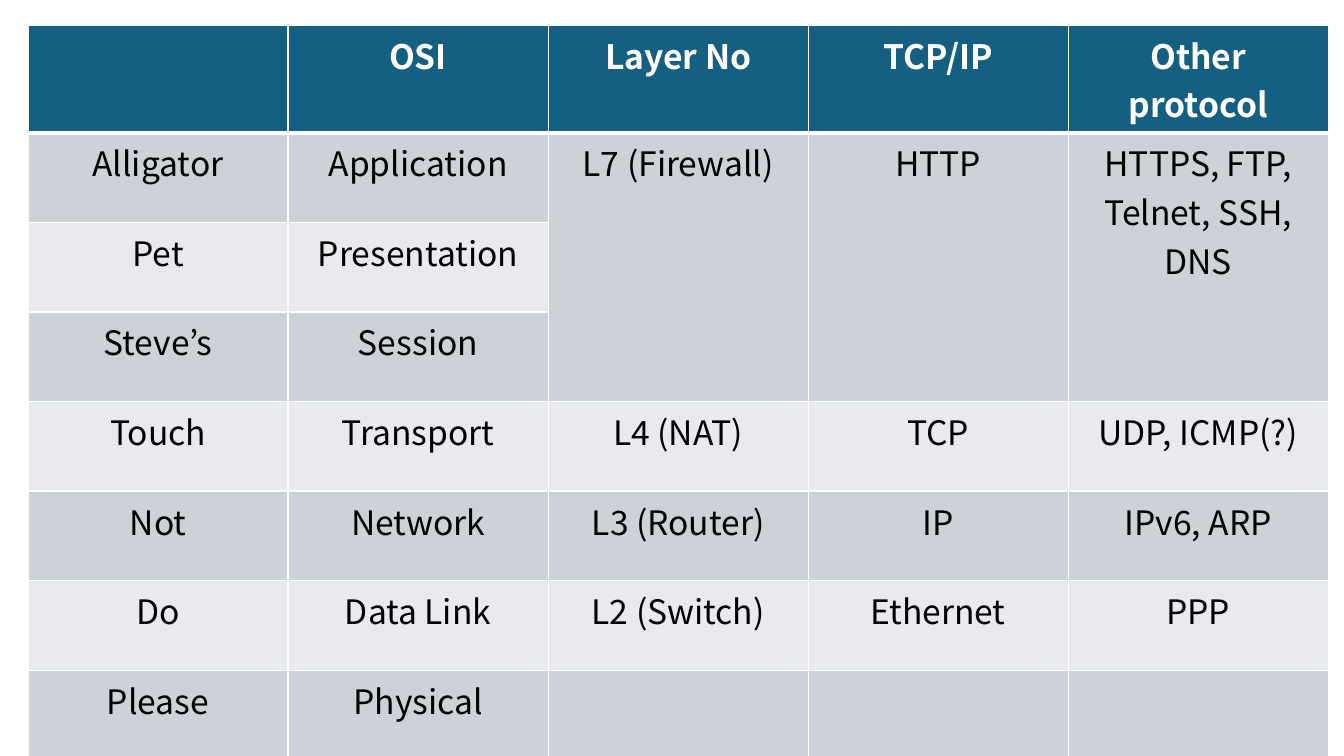
from lxml.etree import SubElement
from pptx import Presentation
from pptx.dml.color import RGBColor as Color
from pptx.enum.text import PP_ALIGN as Align
from pptx.oxml.ns import qn
from pptx.util import Pt

FONT = "Noto Sans CJK KR"
WHITE, BLACK = "FFFFFF", "000000"
HEADER_FILL = "156082"
BAND_FILLS = ("CCD2D8", "E8EAED")

HEADINGS = ("", "OSI", "Layer No", "TCP/IP", "Other protocol")
LAYERS = (
    ("Alligator", "Application", "L7 (Firewall)", "HTTP", "HTTPS, FTP, Telnet, SSH, DNS"),
    ("Pet", "Presentation", "", "", ""),
    ("Steve’s", "Session", "", "", ""),
    ("Touch", "Transport", "L4 (NAT)", "TCP", "UDP, ICMP(?)"),
    ("Not", "Network", "L3 (Router)", "IP", "IPv6, ARP"),
    ("Do", "Data Link", "L2 (Switch)", "Ethernet", "PPP"),
    ("Please", "Physical", "", "", ""),
)


def color(value):
    return Color.from_string(value)


def write(frame, text, size=24, ink=BLACK, bold=False, align=Align.CENTER):
    para = frame.paragraphs[0]
    para.alignment = align
    span = para.add_run()
    span.text = text
    font = span.font
    font.name, font.size, font.bold = FONT, Pt(size), bold
    font.color.rgb = color(ink)
    # East Asian typeface
    SubElement(font._element, qn("a:ea"), typeface=FONT)


def set_borders(cell, **widths):
    """Draw white borders; widths are in points, keyed by side L, R, T and B."""
    properties = cell._tc.get_or_add_tcPr()
    for position, side in enumerate("LRTB"):
        line = SubElement(properties, qn("a:ln" + side), w=str(Pt(widths.get(side, 1))))
        fill = SubElement(line, qn("a:solidFill"))
        SubElement(fill, qn("a:srgbClr"), val=WHITE)
        properties.insert(position, line)


def add_layer_table(page, left, top, width, height):
    rows = (HEADINGS,) + LAYERS
    table = page.shapes.add_table(
        len(rows), len(HEADINGS), Pt(left), Pt(top), Pt(width), Pt(height)
    ).table
    for column in table.columns:
        column.width = Pt(width / len(HEADINGS))

    # Header and banded rows
    for r, texts in enumerate(rows):
        table.rows[r].height = Pt(height / len(rows))
        header = r == 0
        for c, text in enumerate(texts):
            cell = table.cell(r, c)
            cell.fill.solid()
            cell.fill.fore_color.rgb = color(HEADER_FILL if header else BAND_FILLS[(r - 1) % 2])
            set_borders(cell, T=3 if r == 1 else 1, B=3 if header else 1)
            if text:
                write(cell.text_frame, text, ink=WHITE if header else BLACK, bold=header)

    # The top three layers share their protocols
    for c in range(2, len(HEADINGS)):
        table.cell(1, c).merge(table.cell(3, c))


def main():
    deck = Presentation()
    deck.slide_width, deck.slide_height = Pt(960), Pt(540)
    page = deck.slides.add_slide(deck.slide_layouts[6])
    add_layer_table(page, left=20, top=18, width=928.8, height=512)
    deck.save("out.pptx")


if __name__ == "__main__":
    main()
